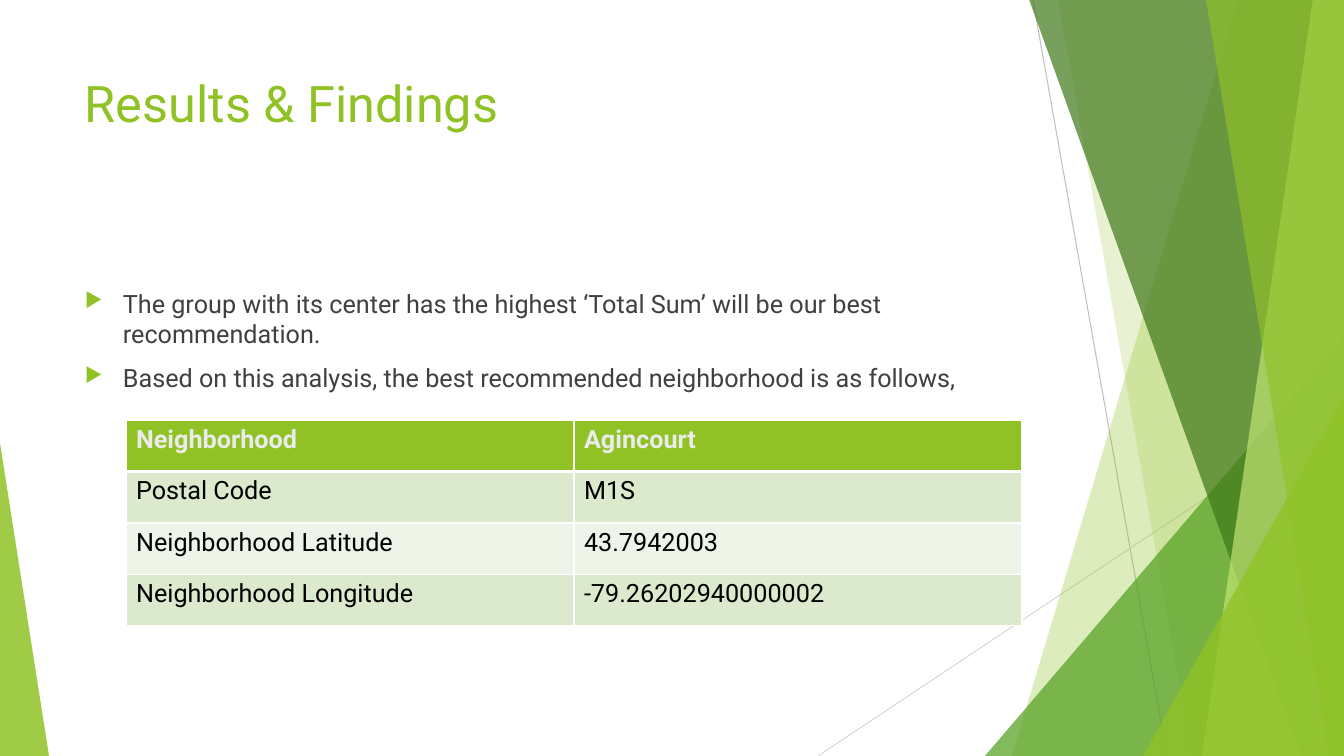
from lxml.etree import SubElement
from pptx import Presentation
from pptx.dml.color import RGBColor
from pptx.enum.shapes import MSO_CONNECTOR, MSO_SHAPE
from pptx.enum.text import MSO_ANCHOR
from pptx.oxml.ns import qn
from pptx.util import Pt

SCALE = 12192000 / 1344
W, H = 1344, 756
FONT = "Roboto"
GREEN = "90C226"


def px(*lengths):
    return [round(n * SCALE) for n in lengths]


def style(p, size, color, bold=False):
    for r in p.runs:
        r.font.name = FONT
        r.font.size = Pt(size)
        r.font.bold = bold
        r.font.color.rgb = RGBColor.from_string(color)


prs = Presentation()
prs.slide_width, prs.slide_height = px(W, H)
s = prs.slides.add_slide(prs.slide_layouts[6])

for x1, y1, x2, y2, color in [(1033, 0, 1167, H, "BFBFBF"), (W, 406, 818, H, "D9D9D9")]:
    line = s.shapes.add_connector(MSO_CONNECTOR.STRAIGHT, *px(x1, y1, x2, y2))
    line.line.color.rgb = RGBColor.from_string(color)
    line.line.width = Pt(0.75)
    SubElement(line._element.spPr, qn("a:effectLst"))

facets = [
    ("band", (1238, 1012), GREEN, 30),
    ("band", (1058, 1192), GREEN, 20),
    ("triangle", (985, 336, 359, 420, 1), "54A021", 72),
    ("band", (1029, 1301), "3F7819", 70),
    ("band", (1313, 1202), "C0E474", 70),
    ("band", (1206, 1329), GREEN, 65),
    ("triangle", (1143, 396, 201, 360, 1), GREEN, 80),
    ("triangle", (0, 443, 49, 313, 0), GREEN, 85),
]
for kind, geometry, color, opacity in facets:
    if kind == "band":
        top_x, bottom_x = geometry
        builder = s.shapes.build_freeform(top_x, -1, scale=SCALE)
        builder.add_line_segments([(W, -1), (W, H), (bottom_x, H)], close=True)
        sp = builder.convert_to_shape()
    else:
        *box, apex = geometry
        sp = s.shapes.add_shape(MSO_SHAPE.ISOSCELES_TRIANGLE, *px(*box))
        sp.adjustments[0] = apex
    sp.shadow.inherit = False
    sp.fill.solid()
    sp.fill.fore_color.rgb = RGBColor.from_string(color)
    fill_color = sp._element.spPr.find(".//" + qn("a:srgbClr"))
    SubElement(fill_color, qn("a:alpha"), val=str(opacity * 1000))
    sp.line.fill.background()

title = s.shapes.add_textbox(*px(75, 67, 948, 145))
tf = title.text_frame
tf.word_wrap = True
tf.vertical_anchor = MSO_ANCHOR.TOP
tf.text = "Results & Findings"
style(tf.paragraphs[0], 36, GREEN)

body = s.shapes.add_textbox(*px(75, 238, 948, 428))
tf = body.text_frame
tf.word_wrap = True
tf.margin_top, indent = px(50, 38)
tf.text = (
    "The group with its center has the highest ‘Total Sum’ will be our best recommendation.\n"
    "Based on this analysis, the best recommended neighborhood is as follows,"
)
for i, p in enumerate(tf.paragraphs):
    style(p, 18, "404040")
    p.space_before = Pt(10 * i)
    pPr = p._p.get_or_add_pPr()
    pPr.set("marL", str(indent))
    pPr.set("indent", str(-indent))
    SubElement(SubElement(pPr, qn("a:buClr")), qn("a:srgbClr"), val=GREEN)
    SubElement(pPr, qn("a:buSzPct"), val="80000")
    SubElement(pPr, qn("a:buChar"), char="▶")

rows = [
    ("Neighborhood", "Agincourt"),
    ("Postal Code", "M1S"),
    ("Neighborhood Latitude", "43.7942003"),
    ("Neighborhood Longitude", "-79.26202940000002"),
]
table = s.shapes.add_table(len(rows), 2, *px(126, 420, 896, 206)).table
table.first_row = False
table.horz_banding = False
for i, row in enumerate(rows):
    header = i == 0
    fill = GREEN if header else ("EEF4E8", "DBE9CD")[i % 2]
    for j, text in enumerate(row):
        cell = table.cell(i, j)
        cell.text = text
        style(cell.text_frame.paragraphs[0], 18, "EBEBEB" if header else "000000", header)
        tcPr = cell._tc.get_or_add_tcPr()
        widths = {"L": 1, "R": 1, "T": 3 if i == 1 else 1, "B": 3 if header else 1}
        for side, width in widths.items():
            ln = SubElement(tcPr, qn("a:ln" + side), w=str(Pt(width)))
            SubElement(SubElement(ln, qn("a:solidFill")), qn("a:srgbClr"), val="FFFFFF")
        cell.fill.solid()
        cell.fill.fore_color.rgb = RGBColor.from_string(fill)

prs.save("out.pptx")
